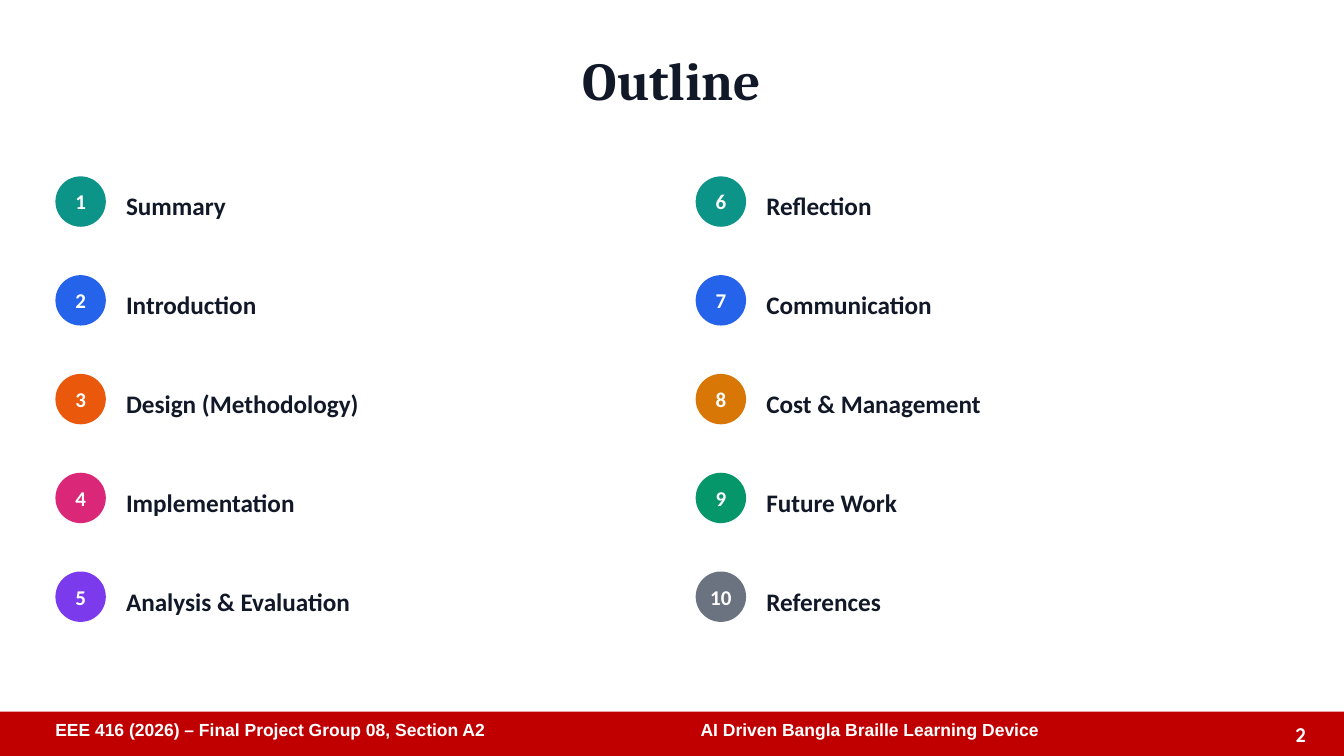
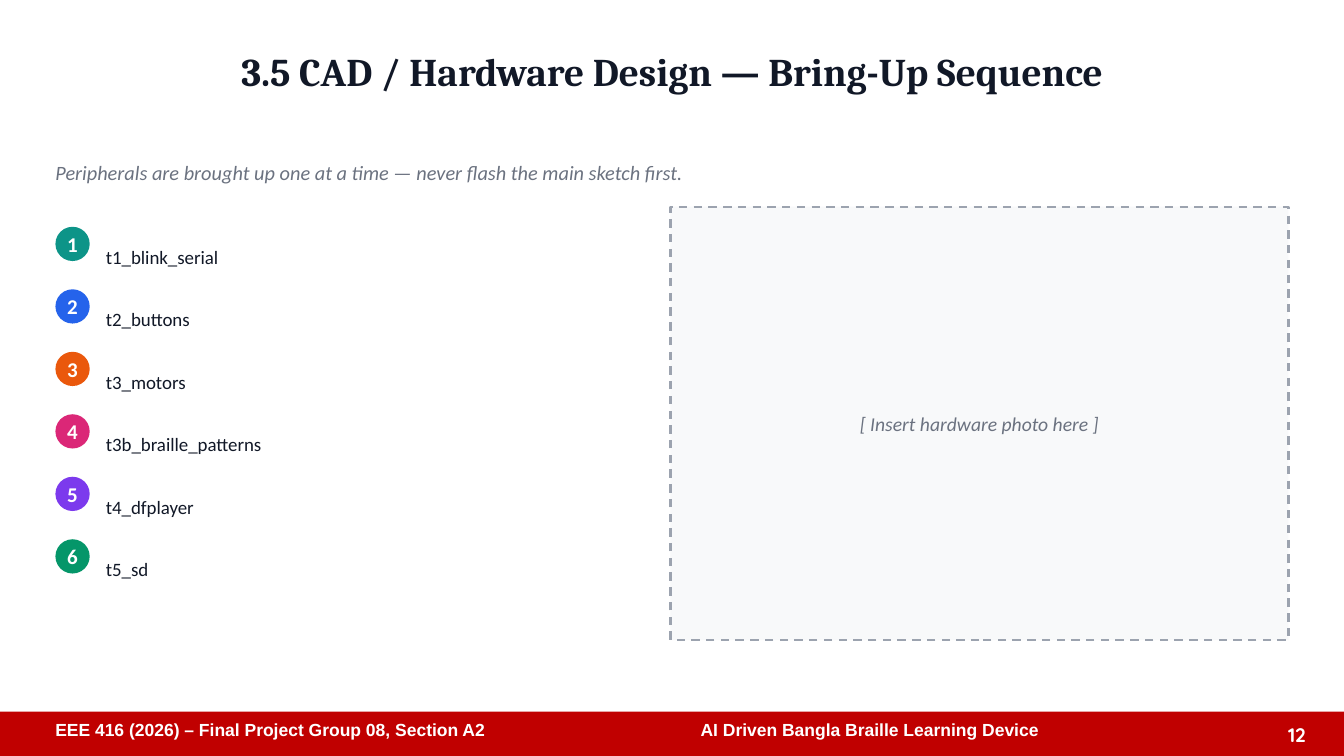
from dataclasses import dataclass

from pptx import Presentation
from pptx.dml.color import RGBColor
from pptx.enum.dml import MSO_LINE
from pptx.enum.shapes import MSO_SHAPE
from pptx.enum.text import MSO_ANCHOR, MSO_AUTO_SIZE, PP_ALIGN
from pptx.util import Inches, Pt

RECT, OVAL = MSO_SHAPE.RECTANGLE, MSO_SHAPE.OVAL
TOP, MIDDLE, BOTTOM = MSO_ANCHOR.TOP, MSO_ANCHOR.MIDDLE, MSO_ANCHOR.BOTTOM
LEFT, CENTER, RIGHT = PP_ALIGN.LEFT, PP_ALIGN.CENTER, PP_ALIGN.RIGHT
DASH, FIXED = MSO_LINE.DASH, MSO_AUTO_SIZE.NONE
TITLE_ONLY = 5
FLUSH, PADDED = (0, 0), (0.1, 0.05)


@dataclass(frozen=True)
class Font:
    """Look of a run of text."""
    face: str
    size: float
    color: str
    bold: bool = False
    italic: bool = False


@dataclass(frozen=True)
class Theme:
    """Colours and type shared by the slides."""
    band: str = "C00000"
    paper: str = "F8F9FA"
    edge: str = "9CA3AF"
    teal: str = "0D9488"
    blue: str = "2563EB"
    orange: str = "EA580C"
    pink: str = "DB2777"
    violet: str = "7C3AED"
    amber: str = "D97706"
    green: str = "059669"
    gray: str = "6B7280"
    cover: Font = Font("Cambria", 38, "111827", bold=True)
    title: Font = Font("Cambria", 28, "111827", bold=True)
    foot: Font = Font("Arial", 12.5, "FFFFFF", bold=True)
    page: Font = Font("Quicksand", 14, "FFFFFF", bold=True)
    badge: Font = Font("Calibri", 15, "FFFFFF", bold=True)
    topic: Font = Font("Calibri", 18, "111827", bold=True)
    step: Font = Font("Calibri", 13.5, "111827")
    lead: Font = Font("Calibri", 14.5, "6B7280", italic=True)
    hint: Font = Font("Calibri", 14, "6B7280", italic=True)


@dataclass(frozen=True)
class Rows:
    """Measures of a numbered list."""
    pitch: float
    badge: float
    indent: float
    drop: float
    height: float
    font: Font


THEME = Theme()
TOPICS = Rows(pitch=0.98, badge=0.5, indent=0.7, drop=0.02, height=0.5, font=THEME.topic)
STEPS = Rows(pitch=0.62, badge=0.34, indent=0.5, drop=-0.03, height=0.62, font=THEME.step)


def write(shape, text, font, align=LEFT, anchor=TOP, inset=FLUSH, lines=None):
    """Put one formatted paragraph into a shape."""
    frame = shape.text_frame
    frame.text = text
    frame.word_wrap = True
    frame.auto_size = FIXED
    frame.vertical_anchor = anchor
    frame.margin_left = frame.margin_right = Inches(inset[0])
    frame.margin_top = frame.margin_bottom = Inches(inset[1])
    para = frame.paragraphs[0]
    para.alignment = align
    if lines:
        para.line_spacing = lines
    for run in para.runs:
        look = run.font
        look.name, look.size = font.face, Pt(font.size)
        look.bold, look.italic = font.bold, font.italic
        look.color.rgb = RGBColor.from_string(font.color)


def label(slide, box, text, font, **style):
    """Add a text box."""
    write(slide.shapes.add_textbox(*map(Inches, box)), text, font, **style)


def block(slide, kind, box, fill):
    """Add a flat filled shape without outline."""
    shape = slide.shapes.add_shape(kind, *map(Inches, box))
    shape.shadow.inherit = False
    shape.fill.solid()
    shape.fill.fore_color.rgb = RGBColor.from_string(fill)
    shape.line.fill.background()
    return shape


def footer(slide, box, page):
    """Draw the bottom band with its captions and page number."""
    left, top, width, height = box
    block(slide, RECT, box, THEME.band)
    captions = [
        (0.45, 6.3, "EEE 416 (2026) – Final Project Group 08, Section A2"),
        (6.85, 5.35, "AI Driven Bangla Braille Learning Device"),
    ]
    for shift, span, text in captions:
        label(slide, (left + shift, top + 0.02, span, height - 0.03), text, THEME.foot, inset=PADDED)
    label(slide, (left + width - 0.85, top + 0.05, 0.57, 0.34), str(page), THEME.page,
          align=RIGHT, anchor=BOTTOM, inset=PADDED)


def start(deck, title, font, page):
    """Add a slide with its title and footer."""
    slide = deck.slides.add_slide(deck.slide_layouts[TITLE_ONLY])
    head = slide.shapes.title
    head.left, head.top, head.width, head.height = map(Inches, (0.55, 0.42, 12.23, 1))
    write(head, title, font, align=CENTER, inset=(0, 0.05))
    footer(slide, (0, 7.06, 13.33, 0.45), page)
    return slide


def listing(slide, box, items, rows, first=1):
    """Draw numbered badges with a label beside each."""
    left, top, width = box
    for index, (text, color) in enumerate(items):
        y = top + index * rows.pitch
        badge = block(slide, OVAL, (left, y, rows.badge, rows.badge), color)
        write(badge, str(first + index), THEME.badge, align=CENTER, anchor=MIDDLE)
        label(slide, (left + rows.indent, y + rows.drop, width - rows.indent, rows.height),
              text, rows.font, anchor=MIDDLE, lines=1.15)


def photo(slide, box, text):
    """Draw a dashed frame that holds a hint."""
    frame = block(slide, RECT, box, THEME.paper)
    frame.line.color.rgb = RGBColor.from_string(THEME.edge)
    frame.line.width = Pt(1.5)
    frame.line.dash_style = DASH
    write(frame, text, THEME.hint, align=CENTER, anchor=MIDDLE, inset=PADDED)


def outline(deck):
    """Build the outline slide."""
    slide = start(deck, "Outline", THEME.cover, 2)
    topics = [
        ("Summary", THEME.teal),
        ("Introduction", THEME.blue),
        ("Design (Methodology)", THEME.orange),
        ("Implementation", THEME.pink),
        ("Analysis & Evaluation", THEME.violet),
        ("Reflection", THEME.teal),
        ("Communication", THEME.blue),
        ("Cost & Management", THEME.amber),
        ("Future Work", THEME.green),
        ("References", THEME.gray),
    ]
    half = len(topics) // 2
    listing(slide, (0.55, 1.75, 5.85), topics[:half], TOPICS)
    listing(slide, (6.9, 1.75, 5.85), topics[half:], TOPICS, first=half + 1)


def bringup(deck):
    """Build the bring-up sequence slide."""
    slide = start(deck, "3.5 CAD / Hardware Design — Bring-Up Sequence", THEME.title, 12)
    label(slide, (0.55, 1.55, 12.23, 0.5),
          "Peripherals are brought up one at a time — never flash the main sketch first.",
          THEME.lead, lines=1.15)
    steps = [
        ("t1_blink_serial", THEME.teal),
        ("t2_buttons", THEME.blue),
        ("t3_motors", THEME.orange),
        ("t3b_braille_patterns", THEME.pink),
        ("t4_dfplayer", THEME.violet),
        ("t5_sd", THEME.green),
    ]
    listing(slide, (0.55, 2.25, 5.6), steps, STEPS)
    photo(slide, (6.65, 2.05, 6.13, 4.3), "[ Insert hardware photo here ]")


def main():
    """Build and save the deck."""
    deck = Presentation()
    deck.slide_width, deck.slide_height = Inches(13.33), Inches(7.5)
    outline(deck)
    bringup(deck)
    deck.save("out.pptx")


if __name__ == "__main__":
    main()
